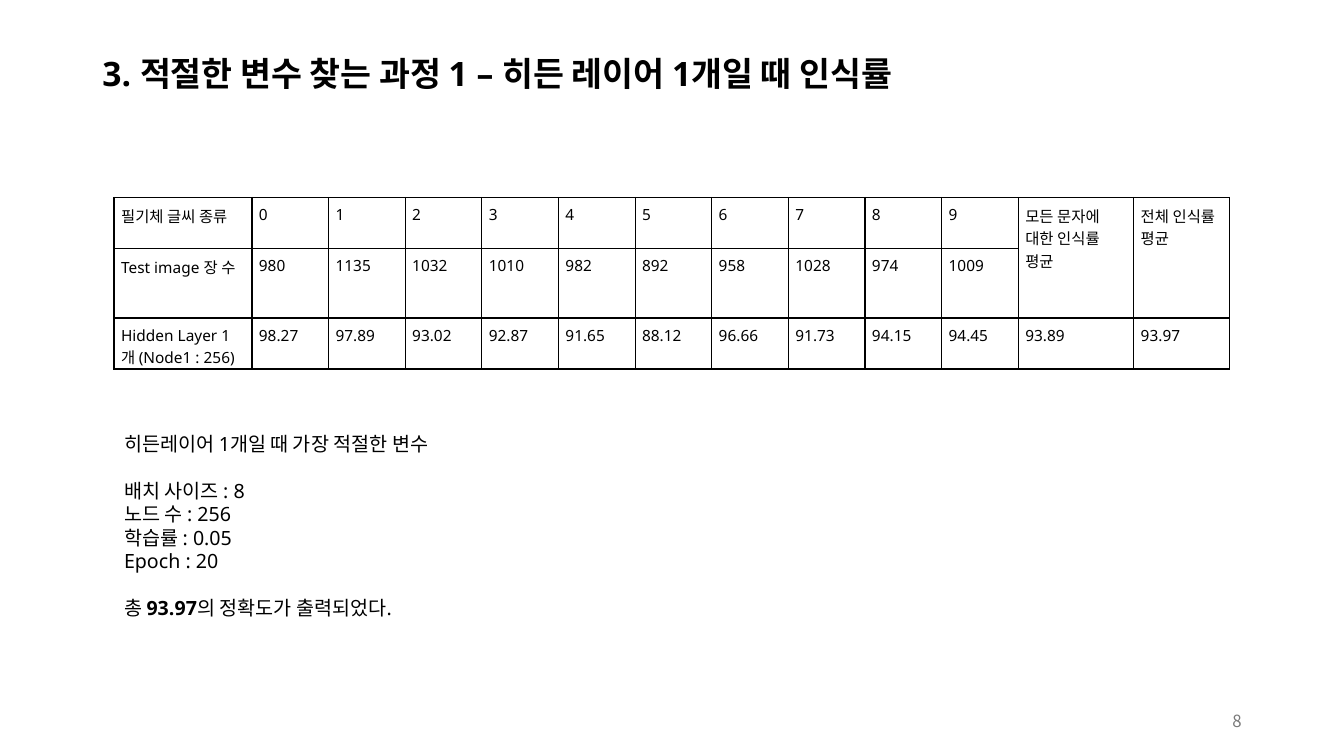
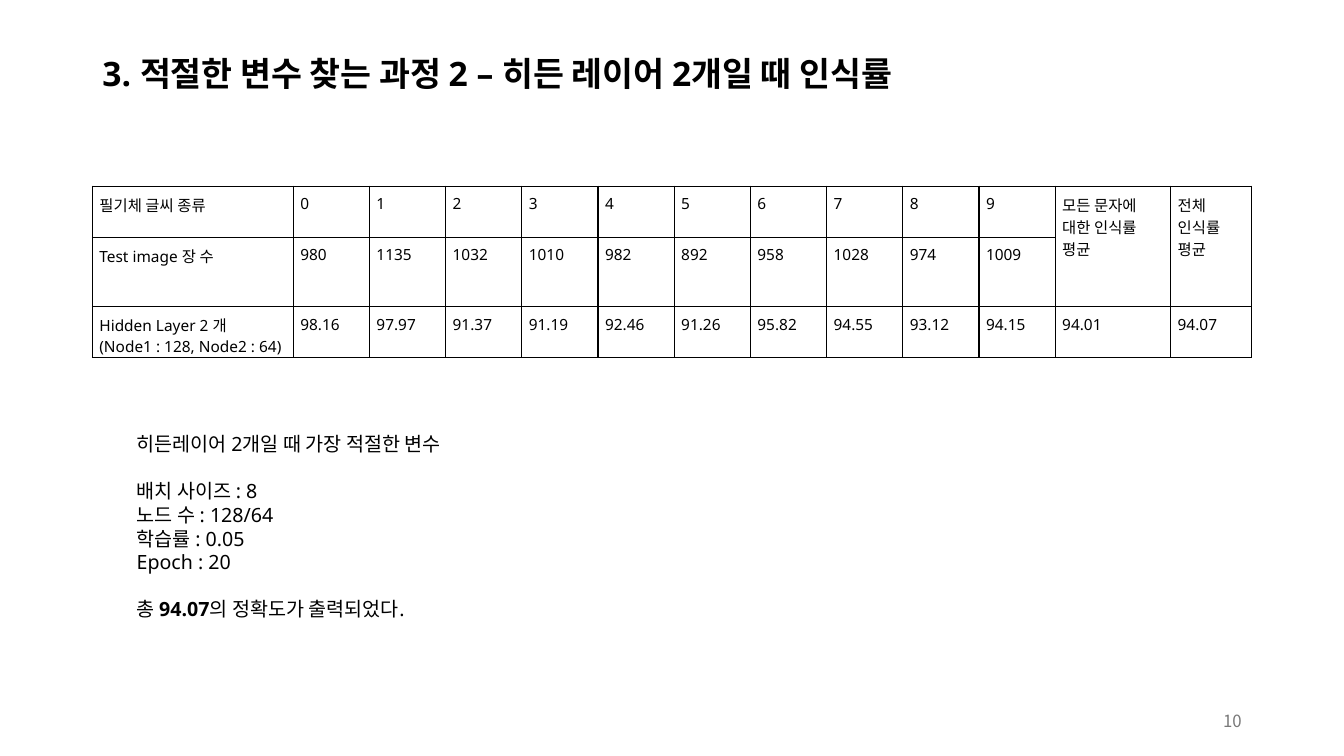
from dataclasses import dataclass

from lxml.etree import SubElement
from pptx import Presentation
from pptx.dml.color import RGBColor
from pptx.enum.shapes import MSO_SHAPE
from pptx.enum.text import MSO_ANCHOR, MSO_AUTO_SIZE, PP_ALIGN
from pptx.oxml.ns import qn
from pptx.util import Pt


@dataclass(frozen=True)
class Theme:
    ink: RGBColor = RGBColor(0, 0, 0)
    paper: RGBColor = RGBColor(255, 255, 255)
    muted: RGBColor = RGBColor(0x79, 0x79, 0x79)
    font: str = "Noto Sans"
    number_font: str = "Noto Sans CJK KR"
    title_size: float = 24
    body_size: float = 14
    cell_size: float = 11
    number_size: float = 12
    body_line: float = 16.8
    row_height: float = 36.5
    cell_inset: float = 5
    border: float = 1


class Deck:
    """Holds the theme and the slide being filled."""

    def __init__(self, theme):
        self.theme = theme
        self.file = Presentation()
        self.file.slide_width, self.file.slide_height = Pt(960), Pt(540)
        self.slide = None

    def style(self, paragraph, size, color=None, name=None, bold=False):
        font = paragraph.font
        font.size, font.bold = Pt(size), bold
        font.name = name or self.theme.font
        font.color.rgb = color or self.theme.ink

    def add_slide(self, title, number):
        theme = self.theme
        self.slide = self.file.slides.add_slide(self.file.slide_layouts[5])

        # Title
        heading = self.slide.shapes.title
        heading.left, heading.top = Pt(66), Pt(29)
        heading.width, heading.height = Pt(828), Pt(49.5)
        frame = heading.text_frame
        frame.text = title
        frame.auto_size = MSO_AUTO_SIZE.NONE
        frame.vertical_anchor = MSO_ANCHOR.MIDDLE
        line = frame.paragraphs[0]
        line.alignment, line.line_spacing = PP_ALIGN.LEFT, 0.9
        self.style(line, theme.title_size, bold=True)

        # Page number
        footer = self.slide.shapes.add_textbox(Pt(678), Pt(500.5), Pt(216), Pt(28.75))
        frame = footer.text_frame
        frame.word_wrap = True
        frame.vertical_anchor = MSO_ANCHOR.MIDDLE
        frame.text = str(number)
        line = frame.paragraphs[0]
        line.alignment = PP_ALIGN.RIGHT
        self.style(line, theme.number_size, theme.muted, theme.number_font)

    def add_border(self, cell):
        properties = cell._tc.get_or_add_tcPr()
        for side in ("a:lnL", "a:lnR", "a:lnT", "a:lnB"):
            edge = SubElement(properties, qn(side), w=str(Pt(self.theme.border)))
            fill = SubElement(edge, qn("a:solidFill"))
            SubElement(fill, qn("a:srgbClr"), val=str(self.theme.ink))

    def add_rates(self, left, top, widths, rows):
        theme = self.theme
        table = self.slide.shapes.add_table(
            len(rows), len(widths), Pt(left), Pt(top),
            Pt(sum(widths)), Pt(theme.row_height * len(rows))).table
        table.first_row = table.horz_banding = False
        for column, width in zip(table.columns, widths):
            column.width = Pt(width)
        for r, texts in enumerate(rows):
            table.rows[r].height = Pt(theme.row_height)
            for c, text in enumerate(texts):
                cell = table.cell(r, c)
                cell.text = text
                cell.margin_left = cell.margin_right = Pt(theme.cell_inset)
                cell.margin_top = cell.margin_bottom = Pt(theme.cell_inset)
                self.add_border(cell)
                cell.fill.background()
                for line in cell.text_frame.paragraphs:
                    self.style(line, theme.cell_size)
        # The two average headings span both header rows
        for c in (-2, -1):
            column = len(widths) + c
            table.cell(0, column).merge(table.cell(1, column))

    def add_summary(self, left, top, heading, settings, accuracy):
        theme = self.theme
        box = self.slide.shapes.add_shape(
            MSO_SHAPE.RECTANGLE, Pt(left), Pt(top), Pt(779), Pt(156))
        box.shadow.inherit = False
        box.fill.solid()
        box.fill.fore_color.rgb = theme.paper
        box.line.fill.background()
        frame = box.text_frame
        frame.word_wrap = True
        frame.vertical_anchor = MSO_ANCHOR.MIDDLE
        frame.text = "\n".join([heading, *settings])
        result = frame.add_paragraph()
        for text, bold in (("총 ", False), (accuracy, True), ("의 정확도가 출력되었다.", False)):
            run = result.add_run()
            run.text, run.font.bold = text, bold
        for line in frame.paragraphs:
            line.alignment = PP_ALIGN.LEFT
            line.line_spacing = Pt(theme.body_line)
            self.style(line, theme.body_size)
        for line in (frame.paragraphs[1], result):
            line.space_before = Pt(theme.body_line)


DIGITS = [str(digit) for digit in range(10)]
HEADER = ["필기체 글씨 종류", *DIGITS, "모든 문자에 대한 인식률 평균", "전체 인식률 평균"]
COUNTS = ["Test image 장 수", *"980 1135 1032 1010 982 892 958 1028 974 1009".split(), "", ""]


@dataclass(frozen=True)
class Experiment:
    layers: int
    page: int
    model: str
    nodes: str
    rates: str
    table_at: tuple
    table_width: float
    label_width: float
    total_width: float
    summary_at: tuple


EXPERIMENTS = [
    Experiment(1, 8, "Hidden Layer 1 개 (Node1 : 256)", "256",
               "98.27 97.89 93.02 92.87 91.65 88.12 96.66 91.73 94.15 94.45 93.89 93.97",
               (81.5, 141), 797, 98.5, 68.5, (81.5, 297.5)),
    Experiment(2, 10, "Hidden Layer 2 개\n(Node1 : 128, Node2 : 64)", "128/64",
               "98.16 97.97 91.37 91.19 92.46 91.26 95.82 94.55 93.12 94.15 94.01 94.07",
               (66, 133), 828, 143.5, 57.5, (90.5, 298)),
]
MEAN_WIDTH = 82.5


def main():
    deck = Deck(Theme())
    for test in EXPERIMENTS:
        n, rates = test.layers, test.rates.split()
        deck.add_slide(f"3. 적절한 변수 찾는 과정 {n} – 히든 레이어 {n}개일 때 인식률", test.page)

        # Best settings and the accuracy reached
        deck.add_summary(
            *test.summary_at, f"히든레이어 {n}개일 때 가장 적절한 변수",
            ["배치 사이즈 : 8", f"노드 수 : {test.nodes}", "학습률 : 0.05", "Epoch : 20"],
            rates[-1])

        # Recognition rate per digit; digit columns share the remaining width
        outer = test.label_width + MEAN_WIDTH + test.total_width
        digit_width = (test.table_width - outer) / len(DIGITS)
        widths = [test.label_width, *[digit_width] * len(DIGITS), MEAN_WIDTH, test.total_width]
        deck.add_rates(*test.table_at, widths, [HEADER, COUNTS, [test.model, *rates]])
    deck.file.save("out.pptx")


if __name__ == "__main__":
    main()
